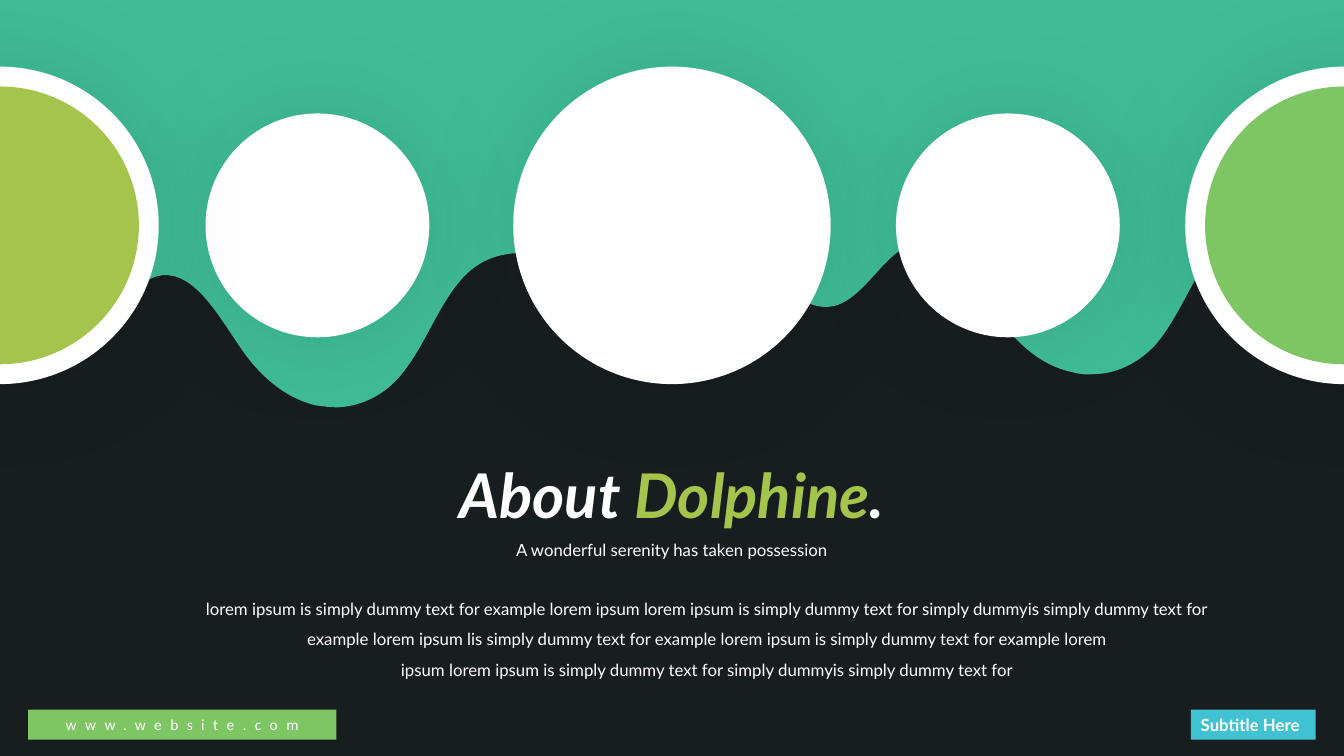
from lxml import etree
from pptx import Presentation, util as u
from pptx.dml.color import RGBColor
from pptx.enum import shapes, text
from pptx.oxml import ns

COLORS = {
    "night": "181E20",
    "sea": "3FBC96",
    "white": "FFFFFF",
    "leaf": "7EC564",
    "lime": "A5C44B",
    "sky": "40C2D2",
}
WAVE_UNITS = 1333
WAVE_CURVES = [
    (0, 261), (1, 264), (2, 265),
    (3, 270), (5, 275), (7, 279),
    (21, 317), (53, 345), (82, 334),
    (112, 322), (131, 276), (161, 273),
    (193, 270), (216, 312), (238, 344),
    (258, 374), (284, 395), (313, 402),
    (320, 403), (328, 404), (335, 404),
    (356, 403), (378, 394), (395, 375),
    (423, 344), (437, 293), (467, 268),
    (501, 240), (543, 253), (583, 261),
    (610, 266), (639, 268), (666, 266),
    (694, 264), (724, 257), (747, 237),
    (750, 234), (754, 240), (757, 247),
    (771, 285), (803, 313), (832, 302),
    (862, 290), (881, 244), (911, 241),
    (943, 237), (966, 280), (988, 312),
    (1008, 341), (1034, 363), (1063, 369),
    (1070, 371), (1078, 372), (1085, 371),
    (1106, 371), (1128, 361), (1145, 343),
    (1173, 312), (1187, 260), (1217, 236),
    (1251, 208), (1293, 221), (1333, 229),
]
BODY = [
    "lorem ipsum is simply dummy text for example lorem ipsum lorem ipsum is simply "
    "dummy text for simply dummyis simply dummy text for example lorem ipsum lis simply "
    "dummy text for example lorem ipsum is simply dummy text for example lorem",
    "ipsum lorem ipsum is simply dummy text for simply dummyis simply dummy text for",
]
LATO = {"name": "Lato", "size": u.Pt(12)}
CENTERED = {"alignment": text.PP_ALIGN.CENTER}
SPACED = {**CENTERED, "line_spacing": 1.5}


def apply(target, values):
    for key, value in values.items():
        setattr(target, key, value)


def rgb(color):
    return RGBColor.from_string(COLORS[color])


def paint(shape, color):
    shape.shadow.inherit = False
    shape.fill.solid()
    shape.fill.fore_color.rgb = rgb(color)
    shape.line.fill.background()


def write(frame, paragraphs, font, layout, wrap=True):
    apply(frame, {"word_wrap": wrap, "auto_size": text.MSO_AUTO_SIZE.NONE,
                  "vertical_anchor": text.MSO_ANCHOR.TOP})
    for index, runs in enumerate(paragraphs):
        paragraph = frame.add_paragraph() if index else frame.paragraphs[0]
        apply(paragraph, layout)
        for words, color in runs:
            run = paragraph.add_run()
            run.text = words
            apply(run.font, font)
            run.font.color.rgb = rgb(color)


def add_glow(shape):
    effects = shape._element.spPr.find(ns.qn("a:effectLst"))
    shadow = etree.SubElement(effects, ns.qn("a:outerShdw"),
                              blurRad=str(u.Pt(77)), dist="0", dir="0",
                              algn="ctr", rotWithShape="0")
    black = etree.SubElement(shadow, ns.qn("a:srgbClr"), val="000000")
    etree.SubElement(black, ns.qn("a:alpha"), val="9000")


def add_wave(slide, left, top, width):
    builder = slide.shapes.build_freeform(WAVE_UNITS, 0, scale=width / WAVE_UNITS)
    builder.add_line_segments([(0, 0), (0, 258)] + WAVE_CURVES, close=True)
    wave = builder.convert_to_shape(left, top)
    paint(wave, "sea")
    segments = list(wave._element.iter(ns.qn("a:lnTo")))[2:2 + len(WAVE_CURVES)]
    for start in range(0, len(segments), 3):
        curve = etree.Element(ns.qn("a:cubicBezTo"))
        segments[start].addprevious(curve)
        for segment in segments[start:start + 3]:
            curve.append(segment[0])
            segment.getparent().remove(segment)


def add_disc(slide, center_x, center_y, size, color):
    disc = slide.shapes.add_shape(shapes.MSO_SHAPE.OVAL, center_x - size // 2,
                                  center_y - size // 2, size, size)
    paint(disc, color)
    return disc


def add_discs(slide, left, center_y, width):
    large, small, inner = u.Cm(8), u.Cm(5.64), u.Cm(7)
    for center_x, size, core in [
        (u.Cm(8), small, None),
        (width, large, "leaf"),
        (0, large, "lime"),
        (width // 2, large, None),
        (u.Cm(25.4), small, None),
    ]:
        add_glow(add_disc(slide, left + center_x, center_y, size, "white"))
        if core:
            add_disc(slide, left + center_x, center_y, inner, core)


def add_about(slide, left, top, width):
    title = slide.shapes.title
    title_width, tagline_width = u.Cm(16.74), u.Cm(11.23)
    apply(title, {"left": left + (width - title_width) // 2, "top": top,
                  "width": title_width, "height": u.Cm(2.13)})
    write(title.text_frame,
          [[("About ", "white"), ("Dolphine", "lime"), (".", "white")]],
          {"name": "Lato", "size": u.Pt(44), "bold": True, "italic": True}, CENTERED)
    tagline = slide.shapes.add_textbox(left + (width - tagline_width) // 2,
                                       top + u.Cm(1.85), tagline_width, u.Cm(0.94))
    write(tagline.text_frame,
          [[("A wonderful serenity has taken possession", "white")]], LATO, SPACED)
    body = slide.shapes.add_textbox(left + u.Cm(4.78), top + u.Cm(3.33),
                                    u.Cm(26.09), u.Cm(2.57))
    write(body.text_frame, [[(words, "white")] for words in BODY], LATO, SPACED)


def add_footer(slide, left, top, width, height):
    subtitle_width = u.Cm(3.15)
    subtitle = slide.shapes.add_shape(shapes.MSO_SHAPE.RECTANGLE,
                                      left + width - subtitle_width, top,
                                      subtitle_width, height)
    paint(subtitle, "sky")
    write(subtitle.text_frame, [[("Subtitle Here", "white")]],
          {**LATO, "bold": True}, {"alignment": text.PP_ALIGN.LEFT}, wrap=False)
    website = slide.shapes.add_shape(shapes.MSO_SHAPE.RECTANGLE, left, top,
                                     u.Cm(7.77), height)
    paint(website, "leaf")
    write(website.text_frame, [[("www.website.com", "white")]],
          {"name": "Calibri", "size": u.Pt(11)}, CENTERED)
    website.text_frame.vertical_anchor = text.MSO_ANCHOR.MIDDLE
    website.text_frame.paragraphs[0].runs[0].font._element.set("spc", "600")


def main():
    deck = Presentation()
    apply(deck, {"slide_width": u.Cm(33.87), "slide_height": u.Cm(19.05)})
    width = deck.slide_width
    slide = deck.slides.add_slide(deck.slide_layouts[5])
    slide.background.fill.solid()
    slide.background.fill.fore_color.rgb = rgb("night")
    margin = u.Cm(0.71)
    add_wave(slide, 0, 0, width)
    add_discs(slide, 0, u.Cm(5.68), width)
    add_about(slide, 0, u.Cm(11.38), width)
    add_footer(slide, margin, u.Cm(17.88), width - 2 * margin, u.Cm(0.76))
    deck.save("out.pptx")


if __name__ == "__main__":
    main()
